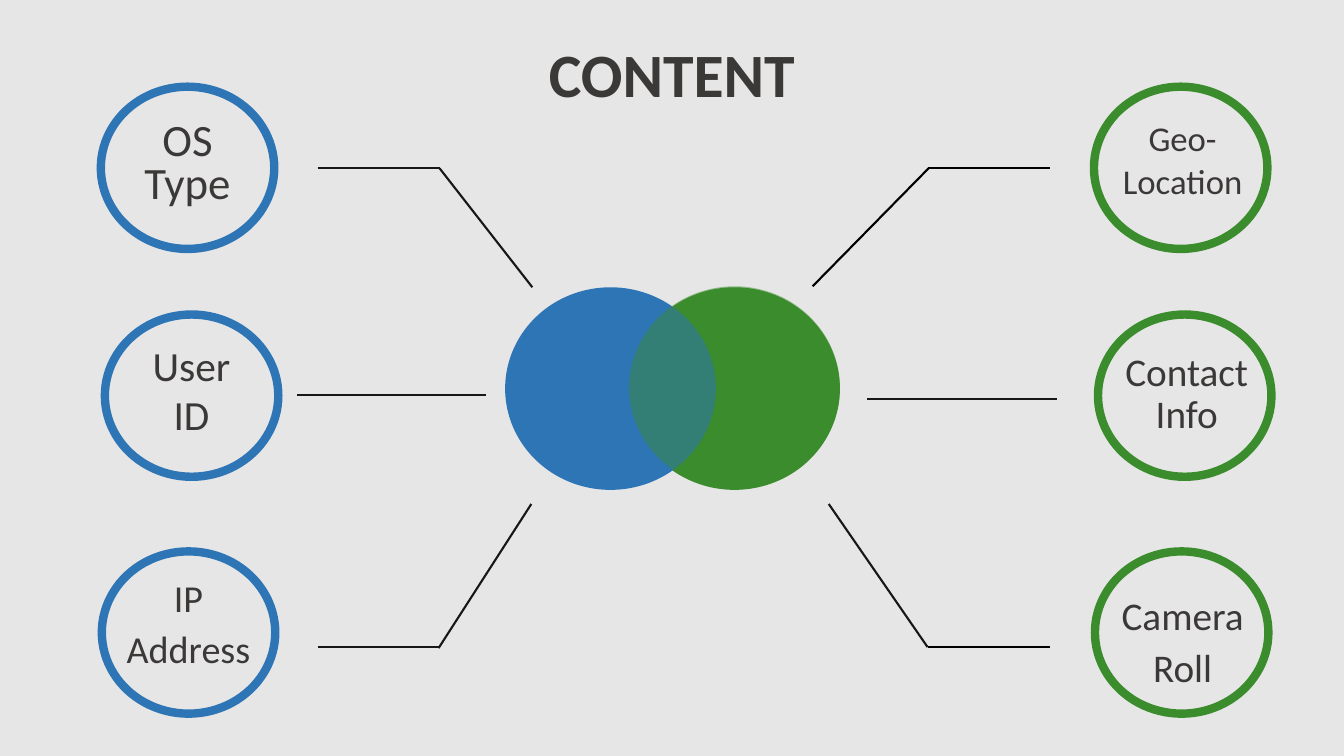
from lxml import etree
from pptx import Presentation
from pptx import util as u
from pptx.dml.color import RGBColor
from pptx.enum import shapes, text
from pptx.oxml.ns import qn

BLUE, GREEN, GREY = "2E75B6", "3A8C2C", "3B3838"
WIDTH, HEIGHT = 13.33, 7.5


def rgb(hex_string):
    return RGBColor.from_string(hex_string)


def write(box, lines, size, spacing, bold=False):
    frame = box.text_frame
    frame.word_wrap = True
    frame.auto_size = text.MSO_AUTO_SIZE.NONE
    frame.vertical_anchor = text.MSO_ANCHOR.TOP
    frame.text = "\n".join(lines)
    for paragraph in frame.paragraphs:
        paragraph.alignment = text.PP_ALIGN.CENTER
        paragraph.line_spacing = spacing
        paragraph.space_before = u.Pt(10)
        font = paragraph.runs[0].font
        font.name, font.size, font.bold = "Calibri", u.Pt(size), bold
        font.color.rgb = rgb(GREY)


deck = Presentation()
deck.slide_width, deck.slide_height = u.Inches(WIDTH), u.Inches(HEIGHT)
slide = deck.slides.add_slide(deck.slide_layouts[5])
slide.background.fill.solid()
slide.background.fill.fore_color.rgb = rgb("E7E6E6")

# Title across the full width
title = slide.shapes.title
title.left, title.top = 0, u.Inches(0.39)
title.width, title.height = deck.slide_width, u.Inches(0.95)
write(title, ["CONTENT"], 44, 0.9, bold=True)

# Overlapping circles in the centre: left, top, colour, opacity in percent
for left, top, colour, opacity in [
    (6.24, 2.85, GREEN, 100),
    (5.01, 2.85, BLUE, 100),
    (6.24, 2.84, GREEN, 47),
]:
    circle = slide.shapes.add_shape(
        shapes.MSO_SHAPE.OVAL, *map(u.Inches, (left, top, 2.09, 2.01)))
    circle.shadow.inherit = False
    circle.fill.solid()
    circle.fill.fore_color.rgb = rgb(colour)
    circle.line.fill.background()
    if opacity < 100:
        tint = circle.fill._xPr.find(qn("a:solidFill"))[0]
        etree.SubElement(tint, qn("a:alpha"), val=str(opacity * 1000))

# Three rows of rings; the right column repeats the left one in green
ring_rows = [(1.00, 0.86), (1.04, 3.12), (1.01, 5.47)]
for column, colour in enumerate([BLUE, GREEN]):
    for left, top in ring_rows:
        ring = slide.shapes.add_shape(
            shapes.MSO_SHAPE.OVAL,
            *map(u.Inches, (left + column * 9.85, top, 1.72, 1.61)))
        ring.shadow.inherit = False
        ring.fill.background()
        ring.line.color.rgb = rgb(colour)
        ring.line.width = u.Pt(6)

# Ring labels: left, top, width, lines, size, line spacing
for left, top, width, lines, size, spacing in [
    (1.08, 1.16, 1.56, ["OS Type"], 32, 0.8),
    (1.12, 3.46, 1.56, ["User", "ID"], 29.6, 0.7),
    (1.09, 5.74, 1.56, ["IP", "Address"], 27.2, 0.8),
    (10.95, 1.22, 1.56, ["Geo-", "Location"], 24.8, 0.7),
    (10.95, 3.45, 1.64, ["Contact Info"], 28, 0.9),
    (10.91, 5.91, 1.64, ["Camera", "Roll"], 28, 0.8),
]:
    label = slide.shapes.add_textbox(*map(u.Inches, (left, top, width, 1.02)))
    write(label, lines, size, spacing)

# Leader lines from the rings towards the centre: colour, then corner points
DARK, BLACK = "181717", "000000"
for colour, start, end in [
    (DARK, (3.15, 1.67), (4.36, 1.67)),
    (DARK, (4.36, 1.67), (5.28, 2.85)),
    (DARK, (2.95, 3.92), (4.82, 3.92)),
    (DARK, (3.15, 6.42), (4.36, 6.42)),
    (DARK, (4.35, 6.43), (5.27, 5.00)),
    (BLACK, (9.20, 1.67), (10.41, 1.67)),
    (BLACK, (9.21, 1.67), (8.06, 2.84)),
    (DARK, (8.60, 3.96), (10.48, 3.96)),
    (BLACK, (9.20, 6.42), (10.41, 6.42)),
    (DARK, (9.20, 6.42), (8.22, 5.00)),
]:
    leader = slide.shapes.add_connector(
        shapes.MSO_CONNECTOR.STRAIGHT, *map(u.Inches, start + end))
    leader.line.color.rgb = rgb(colour)
    leader.line.width = u.Pt(1.5)
    etree.SubElement(leader._element.spPr, qn("a:effectLst"))

deck.save("out.pptx")
